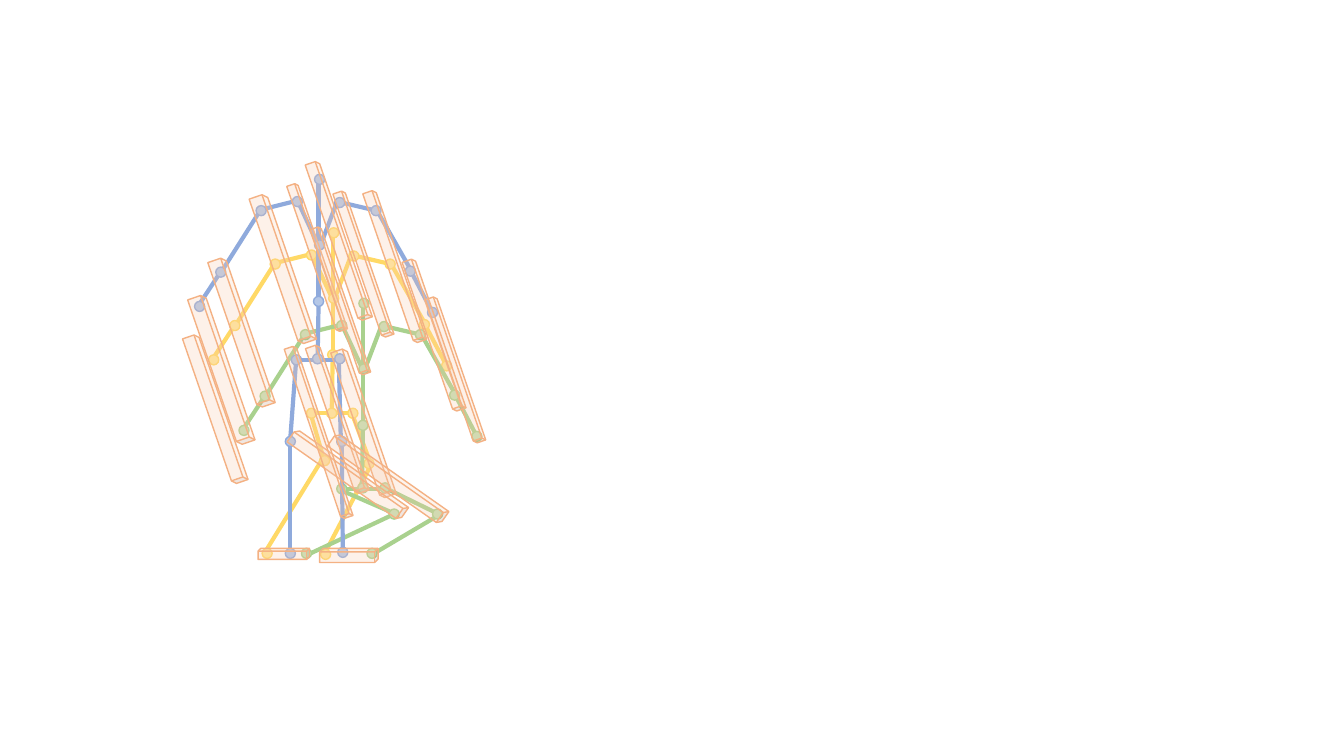
"""Build a slide with three skeleton poses joined by translucent motion blocks."""
import pptx
import pptx.dml.color
import pptx.enum.shapes
import pptx.oxml
import pptx.oxml.ns
import pptx.util

Inches, Pt = pptx.util.Inches, pptx.util.Pt
RGBColor = pptx.dml.color.RGBColor
MSO_SHAPE = pptx.enum.shapes.MSO_SHAPE

GOLD_LINE, GOLD_FILL = RGBColor(0xFF, 0xD9, 0x66), RGBColor(0xFF, 0xE6, 0x99)
GREEN_LINE, GREEN_FILL = RGBColor(0xA9, 0xD1, 0x8E), RGBColor(0xC5, 0xE0, 0xB4)
BLUE_LINE, BLUE_FILL = RGBColor(0x8F, 0xAA, 0xDC), RGBColor(0xB4, 0xC7, 0xE7)
BLOCK_LINE, BLOCK_FILL = RGBColor(0xF4, 0xB1, 0x83), RGBColor(0xF8, 0xCB, 0xAD)

BLOCK_OPACITY = 26
JOINT_SIZE = 0.1

TORSO_BONES = [
    (3.39, 2.01, 3.69, 2.08), (3.74, 2.09, 4.07, 2.67),
    (4.07, 2.68, 4.29, 3.1), (3.16, 1.77, 3.16, 2.43),
    (3.16, 2.44, 3.16, 2.98), (3.16, 3, 3.15, 3.57),
    (3.34, 2.01, 3.18, 2.43), (2.95, 1.99, 3.15, 2.42),
    (2.59, 2.08, 2.95, 1.99), (2.2, 2.69, 2.58, 2.09),
    (1.97, 3.03, 2.18, 2.71),
]
TORSO_JOINTS = [
    (1.93, 2.99), (2.14, 2.65), (2.54, 2.04), (2.9, 1.95),
    (3.12, 1.73), (3.32, 1.96), (4.02, 2.64), (4.24, 3.05),
    (3.68, 2.04), (3.12, 2.38), (3.11, 2.94),
]

GOLD_LEG_BONES = [
    (3.28, 4.1, 3.48, 4.1), (3.08, 4.1, 3.28, 4.1), (3.21, 4.55, 3.08, 4.1),
    (3.68, 4.61, 3.49, 4.1), (3.2, 5.53, 3.66, 4.65), (2.64, 5.46, 3.2, 4.55),
]
GOLD_LEG_JOINTS = [
    (3.04, 4.05), (3.45, 4.05), (3.17, 4.52), (3.61, 4.55),
    (2.6, 5.44), (3.18, 5.45), (3.24, 4.05),
]
GREEN_LEG_BONES = [
    (3.58, 4.85, 3.79, 4.85), (3.39, 4.85, 3.58, 4.85), (3.9, 5.09, 3.42, 4.88),
    (4.35, 5.1, 3.86, 4.86), (3.66, 5.52, 4.37, 5.1), (3.08, 5.49, 3.91, 5.1),
]
GREEN_LEG_JOINTS = [
    (3.34, 4.8), (3.77, 4.79), (3.86, 5.05), (4.29, 5.05),
    (2.99, 5.44), (3.64, 5.44), (3.55, 4.79),
]
BLUE_LEG_BONES = [
    (3.13, 3.57, 3.34, 3.57), (2.94, 3.57, 3.13, 3.57), (2.88, 4.34, 2.94, 3.54),
    (3.38, 4.35, 3.36, 3.57), (3.4, 5.45, 3.39, 4.43), (2.88, 5.45, 2.88, 4.34),
]
BLUE_LEG_JOINTS = [
    (2.89, 3.52), (3.32, 3.51), (2.83, 4.33), (3.34, 4.33),
    (2.83, 5.44), (3.35, 5.43), (3.1, 3.51),
]

POSES = [
    ((0.14, 0.53), GOLD_LINE, GOLD_FILL, GOLD_LEG_BONES, GOLD_LEG_JOINTS),
    ((0.44, 1.23), GREEN_LINE, GREEN_FILL, GREEN_LEG_BONES, GREEN_LEG_JOINTS),
    ((0, 0), BLUE_LINE, BLUE_FILL, BLUE_LEG_BONES, BLUE_LEG_JOINTS),
]

MOTION_BLOCKS = [
    (1.43, 3.58, 1.53, 0.18, 71), (1.63, 3.21, 1.53, 0.18, 71),
    (2.04, 2.58, 1.53, 0.18, 71), (2.38, 2.5, 1.53, 0.11, 71),
    (2.61, 2.93, 1.53, 0.11, 71), (2.56, 5.44, 0.51, 0.11, 0),
    (3.17, 5.44, 0.58, 0.14, 0), (1.37, 3.98, 1.53, 0.16, 71),
    (2.58, 4.09, 1.53, 0.14, 71), (2.84, 4.12, 1.53, 0.16, 71),
    (2.77, 4.63, 1.36, 0.16, 35.1), (2.27, 4.23, 1.78, 0.12, 71.4),
    (3.17, 4.67, 1.36, 0.16, 35.1), (3.76, 3.61, 1.51, 0.12, 71),
    (2.85, 2.56, 1.51, 0.12, 71), (3.13, 2.58, 1.57, 0.13, 71),
    (3.52, 3.26, 1.57, 0.13, 71), (2.54, 2.32, 1.64, 0.14, 71),
]


def add_bone(slide, ends, color):
    """Draw one bone as a thick straight line."""
    line = slide.shapes.add_connector(
        pptx.enum.shapes.MSO_CONNECTOR.STRAIGHT, *map(Inches, ends))
    line.line.color.rgb = color
    line.line.width = Pt(3)
    line._element.spPr.append(pptx.oxml.parse_xml(
        "<a:effectLst %s/>" % pptx.oxml.ns.nsdecls("a")))


def add_outlined(slide, kind, box, fill, line):
    """Draw a filled preset shape with a thin outline and return it."""
    sp = slide.shapes.add_shape(kind, *map(Inches, box))
    sp.shadow.inherit = False
    sp.fill.solid()
    sp.fill.fore_color.rgb = fill
    sp.line.color.rgb = line
    sp.line.width = Pt(1)
    return sp


def add_block(slide, box, angle):
    """Draw one translucent motion block turned by the angle."""
    sp = add_outlined(slide, MSO_SHAPE.CUBE, box, BLOCK_FILL, BLOCK_LINE)
    sp.rotation = angle
    color = sp._element.spPr.find(
        "%s/%s" % (pptx.oxml.ns.qn("a:solidFill"), pptx.oxml.ns.qn("a:srgbClr")))
    color.append(pptx.oxml.parse_xml('<a:alpha %s val="%d"/>' % (
        pptx.oxml.ns.nsdecls("a"), BLOCK_OPACITY * 1000)))


def add_pose(slide, offset, line, fill, leg_bones, leg_joints):
    """Draw a skeleton: the shifted torso, its own legs, then the joints."""
    dx, dy = offset
    torso = [(x1 + dx, y1 + dy, x2 + dx, y2 + dy) for x1, y1, x2, y2 in TORSO_BONES]
    for ends in torso + leg_bones:
        add_bone(slide, ends, line)
    joints = [(x + dx, y + dy) for x, y in TORSO_JOINTS]
    for x, y in joints + leg_joints:
        add_outlined(slide, MSO_SHAPE.FLOWCHART_CONNECTOR,
                     (x, y, JOINT_SIZE, JOINT_SIZE), fill, line)


def main():
    """Build and save the slide."""
    prs = pptx.Presentation()
    prs.slide_width, prs.slide_height = Inches(13.33), Inches(7.5)
    slide = prs.slides.add_slide(prs.slide_layouts[6])
    for pose in POSES:
        add_pose(slide, *pose)
    for *box, angle in MOTION_BLOCKS:
        add_block(slide, box, angle)
    prs.save("out.pptx")


if __name__ == "__main__":
    main()
